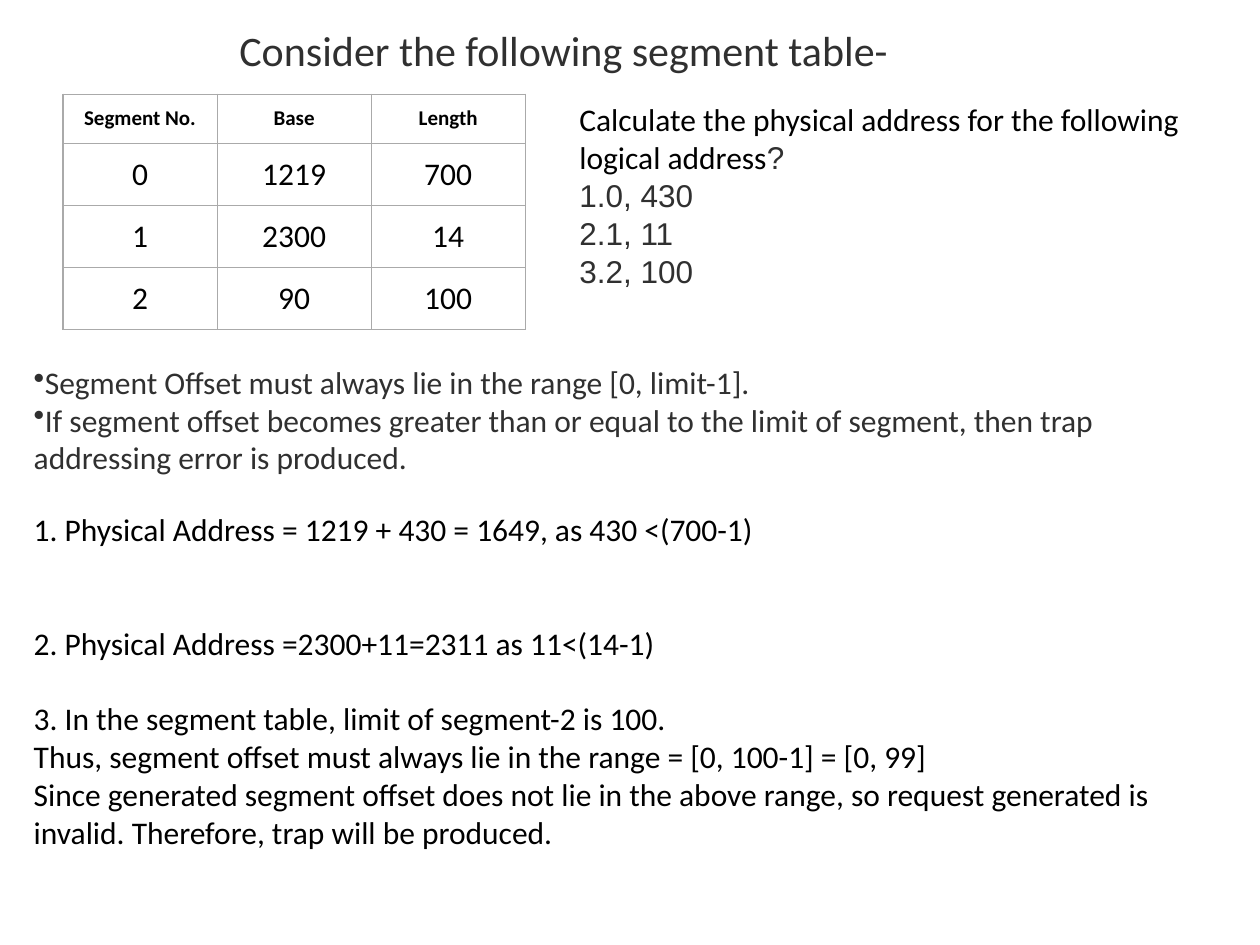
from pptx import Presentation
from pptx import util as u
from pptx.dml.color import RGBColor
from pptx.enum import text as t
from pptx.oxml.ns import qn
from lxml import etree

BLACK = RGBColor(0x00, 0x00, 0x00)
CHARCOAL = RGBColor(0x30, 0x30, 0x30)
WHITE = RGBColor(0xFF, 0xFF, 0xFF)
BORDER_GREY = RGBColor(0xAA, 0xAA, 0xAA)

SEGMENTS = [
    ("Segment No.", "Base", "Length"),
    ("0", "1219", "700"),
    ("1", "2300", "14"),
    ("2", "90", "100"),
]
LOGICAL_ADDRESSES = ["0, 430", "1, 11", "2, 100"]
OFFSET_RULES = [
    "Segment Offset must always lie in the range [0, limit-1].",
    "If segment offset becomes greater than or equal to the limit of segment, "
    "then trap addressing error is produced.",
]
ANSWERS = [
    ("1. Physical Address = 1219 + 430 = 1649, as 430 <(700-1)", 0),
    ("2. Physical Address =2300+11=2311 as 11<(14-1)", 43.4),
    ("3. In the segment table, limit of segment-2 is 100.", 21.6),
    ("Thus, segment offset must always lie in the range = [0, 100-1] = [0, 99]", 0),
    ("Since generated segment offset does not lie in the above range, so request "
     "generated is invalid. Therefore, trap will be produced.", 0),
]


def add_run(paragraph, words, size=18, font="Calibri", color=BLACK, bold=False):
    """Add formatted words to a paragraph."""
    run = paragraph.add_run()
    run.text = words
    run.font.size = u.Pt(size)
    run.font.name = font
    run.font.color.rgb = color
    run.font.bold = bold


def next_paragraph(frame):
    """Return the unused first paragraph, or a new one."""
    first = frame.paragraphs[0]
    return frame.add_paragraph() if first.runs else first


def set_bullet(paragraph, tag, **attributes):
    """Give a paragraph a flush bullet or number."""
    properties = paragraph._p.get_or_add_pPr()
    properties.set("marL", "0")
    properties.set("indent", "0")
    etree.SubElement(properties, qn(tag), attributes)


def set_borders(cell, color, width):
    """Draw one line on each side of a table cell."""
    properties = cell._tc.get_or_add_tcPr()
    for side in ("a:lnL", "a:lnR", "a:lnT", "a:lnB"):
        line = etree.SubElement(properties, qn(side), w=str(u.Pt(width)))
        fill = etree.SubElement(line, qn("a:solidFill"))
        etree.SubElement(fill, qn("a:srgbClr"), val=str(color))


def add_frame(slide, box):
    """Add a wrapping text box and return its text frame."""
    frame = slide.shapes.add_textbox(*map(u.Cm, box)).text_frame
    frame.word_wrap = True
    return frame


def place_title(slide, box):
    """Move and format the title placeholder."""
    title = slide.shapes.title
    title.left, title.top, title.width, title.height = map(u.Cm, box)
    frame = title.text_frame
    frame.auto_size = t.MSO_AUTO_SIZE.NONE
    frame.vertical_anchor = t.MSO_ANCHOR.TOP
    heading = next_paragraph(frame)
    heading.alignment = t.PP_ALIGN.LEFT
    add_run(heading, "Consider the following segment table-", size=24, color=CHARCOAL)


def place_segment_table(slide, box, header_height=0.99):
    """Add the segment table with equal columns and equal body rows."""
    width, height = box[2:]
    table = slide.shapes.add_table(len(SEGMENTS), len(SEGMENTS[0]), *map(u.Cm, box)).table
    for column in table.columns:
        column.width = u.Cm(width / len(SEGMENTS[0]))
    body_height = (height - header_height) / (len(SEGMENTS) - 1)
    for r, entries in enumerate(SEGMENTS):
        table.rows[r].height = u.Cm(body_height if r else header_height)
        for c, entry in enumerate(entries):
            cell = table.cell(r, c)
            cell.margin_left = cell.margin_right = u.Cm(0.25)
            cell.margin_top = cell.margin_bottom = u.Cm(0.2)
            cell.vertical_anchor = t.MSO_ANCHOR.MIDDLE
            set_borders(cell, BORDER_GREY, 0.75)
            cell.fill.solid()
            cell.fill.fore_color.rgb = WHITE
            value = next_paragraph(cell.text_frame)
            value.alignment = t.PP_ALIGN.CENTER
            add_run(value, entry, size=18 if r else 12, bold=r == 0)


def place_question(slide, box):
    """Add the question and its numbered logical addresses."""
    frame = add_frame(slide, box)
    question = next_paragraph(frame)
    add_run(question, "Calculate the physical address for the following logical address")
    add_run(question, "?", font="Arial", color=CHARCOAL)
    for address in LOGICAL_ADDRESSES:
        item = next_paragraph(frame)
        set_bullet(item, "a:buAutoNum", type="arabicPeriod")
        add_run(item, address, font="Arial", color=CHARCOAL)


def place_answers(slide, box):
    """Add the worked answers with space between them."""
    frame = add_frame(slide, box)
    for words, space in ANSWERS:
        answer = next_paragraph(frame)
        answer.space_before = u.Pt(space)
        add_run(answer, words)


def place_offset_rules(slide, box):
    """Add the bulleted rules on segment offsets."""
    frame = add_frame(slide, box)
    for words in OFFSET_RULES:
        rule = next_paragraph(frame)
        set_bullet(rule, "a:buChar", char="•")
        add_run(rule, words, color=CHARCOAL)


def main():
    """Build the segment table slide."""
    deck = Presentation()
    deck.slide_width, deck.slide_height = u.Cm(25.4), u.Cm(19.05)
    slide = deck.slides.add_slide(deck.slide_layouts.get_by_name("Title Only"))
    place_segment_table(slide, (1.27, 1.9, 9.32, 4.74))
    place_title(slide, (4.57, 0.36, 13.72, 1.27))
    place_question(slide, (11.43, 1.9, 12.7, 4.11))
    place_answers(slide, (0.43, 10.16, 24.13, 8.71))
    place_offset_rules(slide, (0.43, 7.19, 24.13, 2.57))
    deck.save("out.pptx")


if __name__ == "__main__":
    main()
